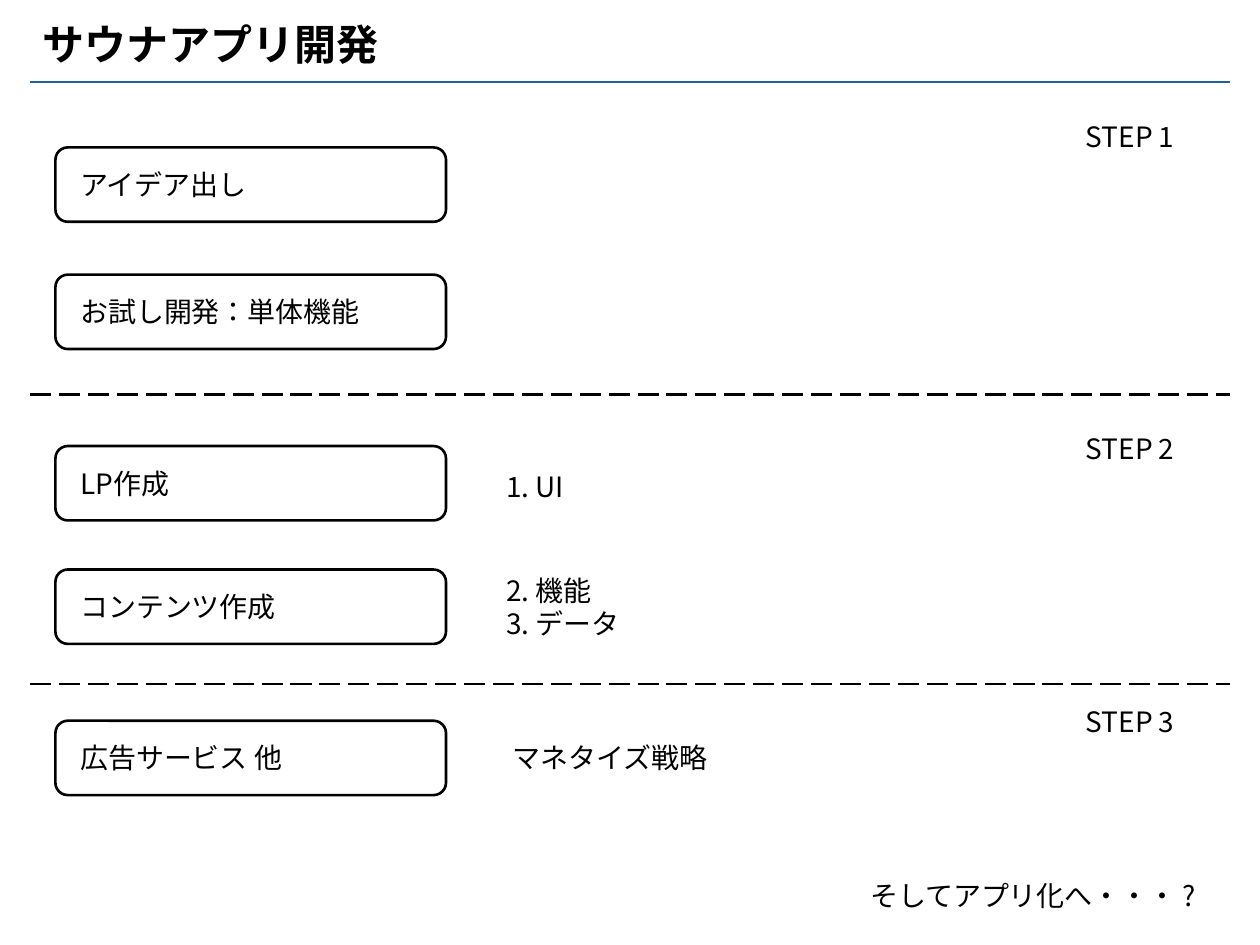
import pptx
import pptx.util
import pptx.dml.color
import pptx.enum.dml
import pptx.enum.lang
import pptx.enum.shapes
import pptx.enum.text
import pptx.oxml.ns
import lxml.etree

Inches = pptx.util.Inches
Pt = pptx.util.Pt
FONT = "Noto Sans CJK JP"


def paint(color, code):
    color.rgb = pptx.dml.color.RGBColor.from_string(code)


def write(home, text, x, y, w, h=0.37, size=16, bold=False, align="LEFT", indent=0.1):
    box = home.add_textbox(Inches(x), Inches(y), Inches(w), Inches(h))
    frame = box.text_frame
    frame.word_wrap = True
    frame.auto_size = pptx.enum.text.MSO_AUTO_SIZE.SHAPE_TO_FIT_TEXT
    frame.text = text
    for para in frame.paragraphs:
        para.alignment = getattr(pptx.enum.text.PP_ALIGN, align)
        para._p.get_or_add_pPr().set("marL", str(Inches(indent)))
        for run in para.runs:
            run.font.size = Pt(size)
            run.font.bold = bold
            run.font.name = FONT
            run.font.language_id = pptx.enum.lang.MSO_LANGUAGE_ID.JAPANESE
            paint(run.font.color, "000000")
            east = lxml.etree.SubElement(run._r.get_or_add_rPr(), pptx.oxml.ns.qn("a:ea"))
            east.set("typeface", FONT)


deck = pptx.Presentation()
deck.slide_width = Inches(10)
deck.slide_height = Inches(7.5)
slide = deck.slides.add_slide(deck.slide_layouts[6])
shapes = slide.shapes

for y, code, dash in [(0.65, "215F9A", False), (3.13, "000000", True), (5.43, "000000", True)]:
    rule = shapes.add_connector(
        pptx.enum.shapes.MSO_CONNECTOR.STRAIGHT,
        Inches(0.24), Inches(y), Inches(9.76), Inches(y))
    rule.line.width = Pt(1.5)
    paint(rule.line.color, code)
    if dash:
        rule.line.dash_style = pptx.enum.dml.MSO_LINE.LONG_DASH
    lxml.etree.SubElement(rule._element.spPr, pptx.oxml.ns.qn("a:effectLst"))

tasks = [
    (1.17, "アイデア出し", None),
    (2.18, "お試し開発：単体機能", None),
    (3.54, "LP作成", ("1. UI", 3.68, 0.37)),
    (4.52, "コンテンツ作成", ("2. 機能\n3. データ", 4.5, 0.64)),
    (5.72, "広告サービス 他", (" マネタイズ戦略", 5.83, 0.37)),
]
for y, name, note in tasks:
    group = shapes.add_group_shape()
    card = group.shapes.add_shape(
        pptx.enum.shapes.MSO_SHAPE.ROUNDED_RECTANGLE,
        Inches(0.44), Inches(y), Inches(3.1), Inches(0.59))
    card.shadow.inherit = False
    card.fill.solid()
    paint(card.fill.fore_color, "FFFFFF")
    paint(card.line.color, "000000")
    card.line.width = Pt(1.5)
    write(group.shapes, name, 0.44, y + 0.11, 3.1)
    if note:
        text, top, high = note
        write(group.shapes, text, 3.82, top, 3.1, high)

for num, y in enumerate([0.9, 3.38, 5.54], 1):
    write(shapes, f"STEP {num}", 8.08, y, 1.68, align="CENTER")

write(shapes, "サウナアプリ開発", 0.24, 0.1, 7.42, 0.5, size=24, bold=True, indent=0)
write(shapes, "そしてアプリ化へ・・・ ?", 6.54, 6.92, 3.22, align="CENTER")

deck.save("out.pptx")
